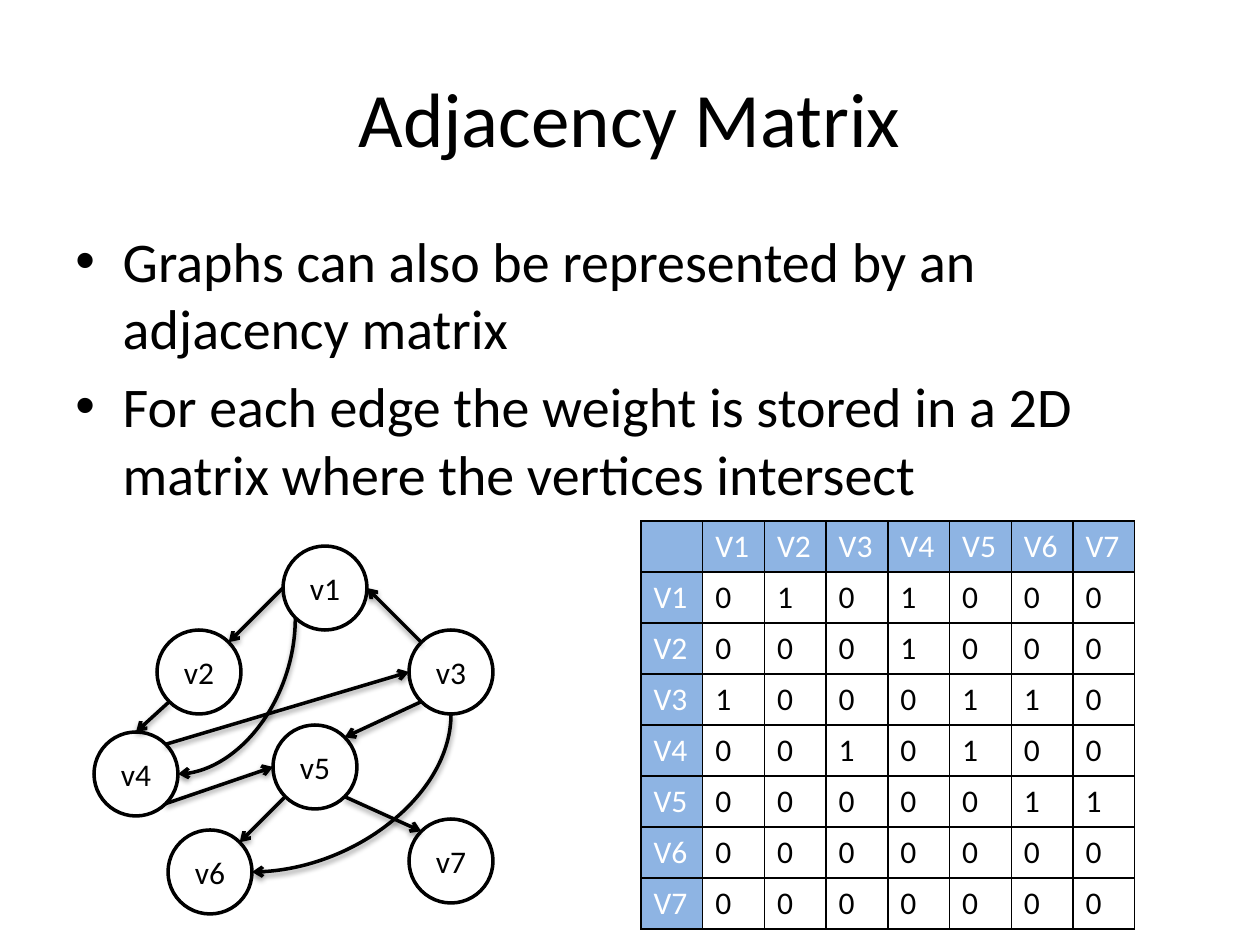
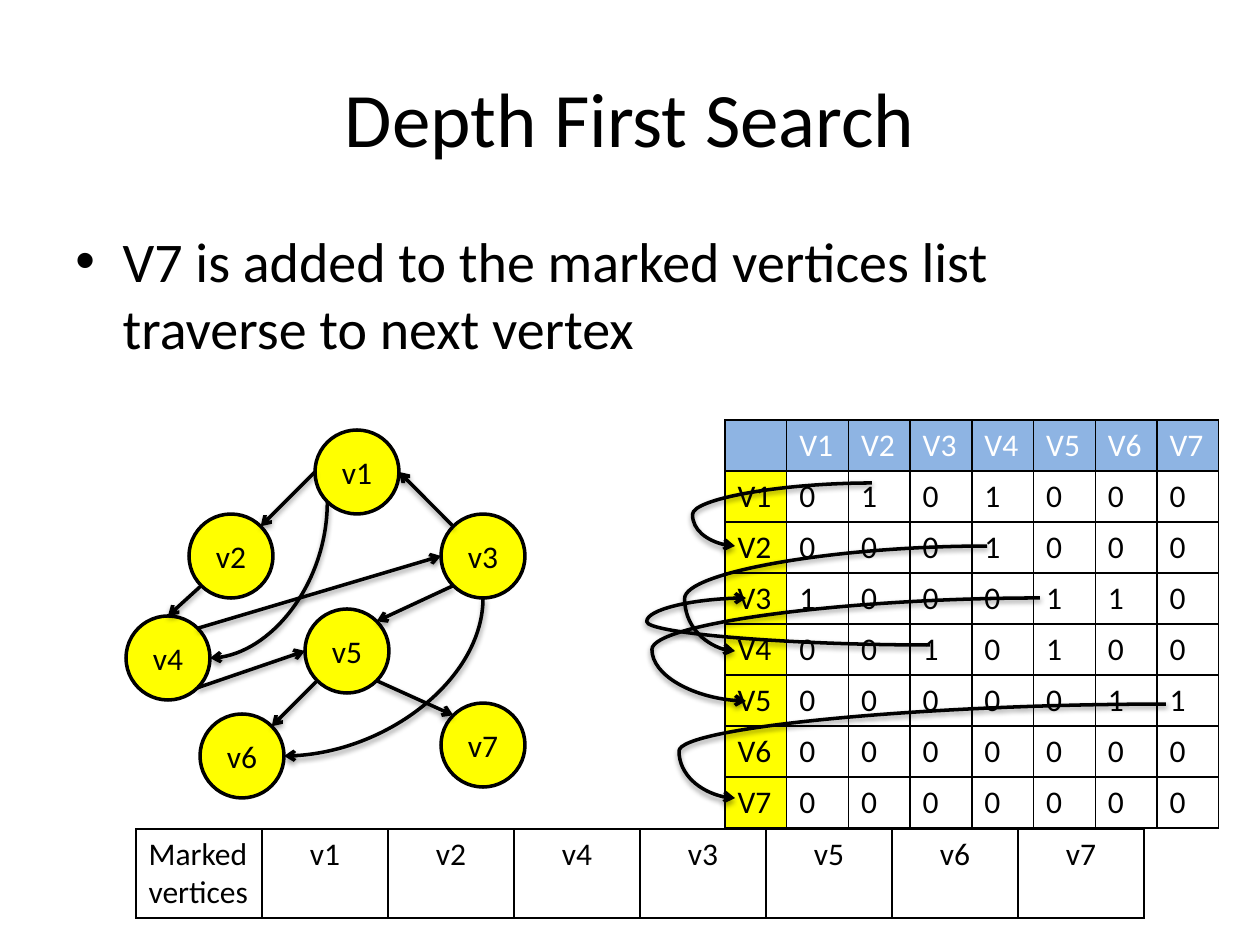
from dataclasses import dataclass
from math import cos, radians, sin
from typing import Any

from lxml.etree import SubElement
from pptx import Presentation
from pptx.dml.color import RGBColor
from pptx.enum.shapes import MSO_CONNECTOR as Connector, MSO_SHAPE as Shape
from pptx.enum.text import MSO_ANCHOR as Anchor, PP_ALIGN as Align
from pptx.oxml.ns import qn
from pptx.util import Emu, Pt

SCALE = 914400 / 126
NODE = 84
BLACK, WHITE, BLUE, YELLOW = "000000", "FFFFFF", "8EB4E3", "FFFF00"

NODES = {
    "v1": (189, 0), "v2": (63, 84), "v3": (315, 84), "v4": (0, 186),
    "v5": (179, 179), "v6": (74, 284), "v7": (315, 273),
}
TOP, TOP_LEFT, LEFT, BOTTOM_LEFT, BOTTOM, BOTTOM_RIGHT, RIGHT, TOP_RIGHT = range(8)
EDGES = [
    ("v1", LEFT, "v2", TOP_RIGHT),
    ("v2", BOTTOM_LEFT, "v4", TOP),
    ("v1", BOTTOM_LEFT, "v4", RIGHT),
    ("v3", TOP_LEFT, "v1", RIGHT),
    ("v3", BOTTOM_LEFT, "v5", TOP_RIGHT),
    ("v3", BOTTOM, "v6", RIGHT),
    ("v4", BOTTOM_RIGHT, "v5", LEFT),
    ("v5", BOTTOM_LEFT, "v6", TOP_RIGHT),
    ("v5", BOTTOM_RIGHT, "v7", TOP_LEFT),
    ("v4", TOP_RIGHT, "v3", LEFT),
]
CURVED = {("v1", "v4"), ("v3", "v6")}
WEIGHTS = ["0101000", "0001000", "1000110", "0010100", "0000011", "0000000", "0000000"]


def px(value):
    return Emu(round(value * SCALE))


def color(value):
    return RGBColor.from_string(value)


def assign(target, values):
    for name, value in values.items():
        setattr(target, name, value)


def site(origin, node, index):
    angle = radians(45 * index)
    left, top = NODES[node]
    return (origin[0] + left + NODE / 2 * (1 - sin(angle)),
            origin[1] + top + NODE / 2 * (1 - cos(angle)))


@dataclass
class Deck:
    presentation: Any
    slide: Any = None
    font: str = "Calibri"
    ink: str = BLACK
    line_width: float = 2
    small: int = 18

    def add_slide(self, title, points):
        self.slide = self.presentation.slides.add_slide(self.presentation.slide_layouts[6])
        frame = self.text_frame((63, 38, 1134, 157), Anchor.MIDDLE)
        self.add_text(frame.paragraphs[0], title, 44, Align.CENTER)
        self.bullets(points)

    def text_frame(self, box, anchor):
        frame = self.slide.shapes.add_textbox(*map(px, box)).text_frame
        assign(frame, {"word_wrap": True, "vertical_anchor": anchor})
        return frame

    def add_text(self, paragraph, text, size, align=Align.LEFT, ink=None):
        paragraph.alignment = align
        run = paragraph.add_run()
        run.text = text
        assign(run.font, {"name": self.font, "size": Pt(size), "bold": False})
        run.font.color.rgb = color(ink or self.ink)

    def bullets(self, points):
        frame = self.text_frame((63, 220, 1113, 624), Anchor.TOP)
        for index, point in enumerate(points):
            paragraph = frame.add_paragraph() if index else frame.paragraphs[0]
            self.add_text(paragraph, point, 32)
            paragraph.space_before = Pt(6.4)
            properties = paragraph._p.get_or_add_pPr()
            properties.set("marL", "342900")
            properties.set("indent", "-342900")
            SubElement(properties, qn("a:buFont"), typeface="Arial")
            SubElement(properties, qn("a:buChar"), char="•")

    def outline(self, line):
        line.color.rgb = color(self.ink)
        line.width = Pt(self.line_width)

    def node(self, shapes, text, left, top, fill):
        shape = shapes.add_shape(Shape.OVAL, *map(px, (left, top, NODE, NODE)))
        shape.shadow.inherit = False
        shape.fill.solid()
        shape.fill.fore_color.rgb = color(fill)
        self.outline(shape.line)
        margins = dict.fromkeys(
            ("margin_left", "margin_right", "margin_top", "margin_bottom"), 0)
        assign(shape.text_frame, {"vertical_anchor": Anchor.MIDDLE, **margins})
        self.add_text(shape.text_frame.paragraphs[0], text, self.small, Align.CENTER)

    def arrow(self, shapes, begin, end, kind=Connector.STRAIGHT):
        connector = shapes.add_connector(kind, *map(px, (*begin, *end)))
        self.outline(connector.line)
        properties = connector.element.spPr
        SubElement(properties.find(qn("a:ln")), qn("a:tailEnd"), type="arrow")
        effects = SubElement(properties, qn("a:effectLst"))
        shadow = SubElement(effects, qn("a:outerShdw"), blurRad="40000", dist="20000",
                            dir="5400000", rotWithShape="0")
        tint = SubElement(shadow, qn("a:srgbClr"), val=BLACK)
        SubElement(tint, qn("a:alpha"), val="38000")
        return connector

    def quarter_arrow(self, shapes, begin, end):
        connector = self.arrow(shapes, begin, end, Connector.CURVE)
        width, height = abs(end[0] - begin[0]), abs(end[1] - begin[1])
        assign(connector, {
            "left": px((begin[0] + end[0] - height) / 2),
            "top": px((begin[1] + end[1] - width) / 2),
            "width": px(height),
            "height": px(width),
        })
        properties = connector.element.spPr
        properties.find(qn("a:prstGeom")).set("prst", "curvedConnector2")
        transform = properties.find(qn("a:xfrm"))
        transform.attrib.pop("flipH", None)
        transform.set("rot", "5400000")

    def loop_arrow(self, begin, end, bend):
        connector = self.arrow(self.slide.shapes, begin, end, Connector.CURVE)
        properties = connector.element.spPr
        guides = properties.find(qn("a:prstGeom")).find(qn("a:avLst"))
        SubElement(guides, qn("a:gd"), name="adj1", fmla=f"val {round(bend * 100000)}")
        transform = properties.find(qn("a:xfrm"))
        transform.attrib.pop("flipH", None)
        transform.attrib.pop("flipV", None)
        transform.set("rot", "10800000")
        if end[1] > begin[1]:
            transform.set("flipV", "1")

    def graph(self, origin, fill):
        shapes = self.slide.shapes.add_group_shape().shapes
        for name, (left, top) in NODES.items():
            self.node(shapes, name, origin[0] + left, origin[1] + top, fill)
        for source, leaving, target, arriving in EDGES:
            draw = self.quarter_arrow if (source, target) in CURVED else self.arrow
            draw(shapes, site(origin, source, leaving), site(origin, target, arriving))

    def table(self, box, rows, style):
        table = self.slide.shapes.add_table(len(rows), len(rows[0]), *map(px, box)).table
        assign(table, {"first_row": False, "horz_banding": False})
        for row, texts in enumerate(rows):
            for column, text in enumerate(texts):
                fill, ink, align = style(row, column)
                cell = table.cell(row, column)
                if text:
                    self.add_text(cell.text_frame.paragraphs[0], text, self.small, align, ink)
                self.borders(cell)
                if fill:
                    cell.fill.solid()
                    cell.fill.fore_color.rgb = color(fill)
                else:
                    cell.fill.background()

    def borders(self, cell):
        properties = cell._tc.get_or_add_tcPr()
        for side in ("lnL", "lnR", "lnT", "lnB"):
            line = SubElement(properties, qn(f"a:{side}"), w="12700")
            solid = SubElement(line, qn("a:solidFill"))
            SubElement(solid, qn("a:srgbClr"), val=self.ink)

    def matrix(self, left, top, side_fill, side_ink):
        def style(row, column):
            if row == 0:
                return BLUE, WHITE, Align.LEFT
            if column == 0:
                return side_fill, side_ink, Align.LEFT
            return None, BLACK, Align.LEFT

        names = [name.upper() for name in NODES]
        rows = [["", *names]] + [[name, *weights] for name, weights in zip(names, WEIGHTS)]
        self.table((left, top, 494, 408), rows, style)

    def marked(self, names):
        def style(row, column):
            return None, BLACK, Align.CENTER if column else Align.LEFT

        self.table((136, 829, 1008, 89), [["Marked vertices", *names]], style)


presentation = Presentation()
assign(presentation, {"slide_width": px(1260), "slide_height": px(945)})
deck = Deck(presentation)

deck.add_slide("Adjacency Matrix", [
    "Graphs can also be represented by an adjacency matrix",
    "For each edge the weight is stored in a 2D matrix where the vertices intersect",
])
deck.graph((94, 546), WHITE)
deck.matrix(641, 521, BLUE, WHITE)

deck.add_slide("Depth First Search", [
    "V7 is added to the marked vertices list traverse to next vertex",
])
deck.graph((126, 430), YELLOW)
deck.marked(["v1", "v2", "v4", "v3", "v5", "v6", "v7"])
deck.matrix(725, 420, YELLOW, BLACK)
for begin, end, bend in [
    ((872, 483), (735, 546), 1.31),
    ((987, 546), (735, 651), 1.2),
    ((930, 645), (746, 598), 1.54),
    ((1040, 598), (746, 701), 1.32),
    ((1166, 704), (735, 798), 1.13),
]:
    deck.loop_arrow(begin, end, bend)

presentation.save("out.pptx")
